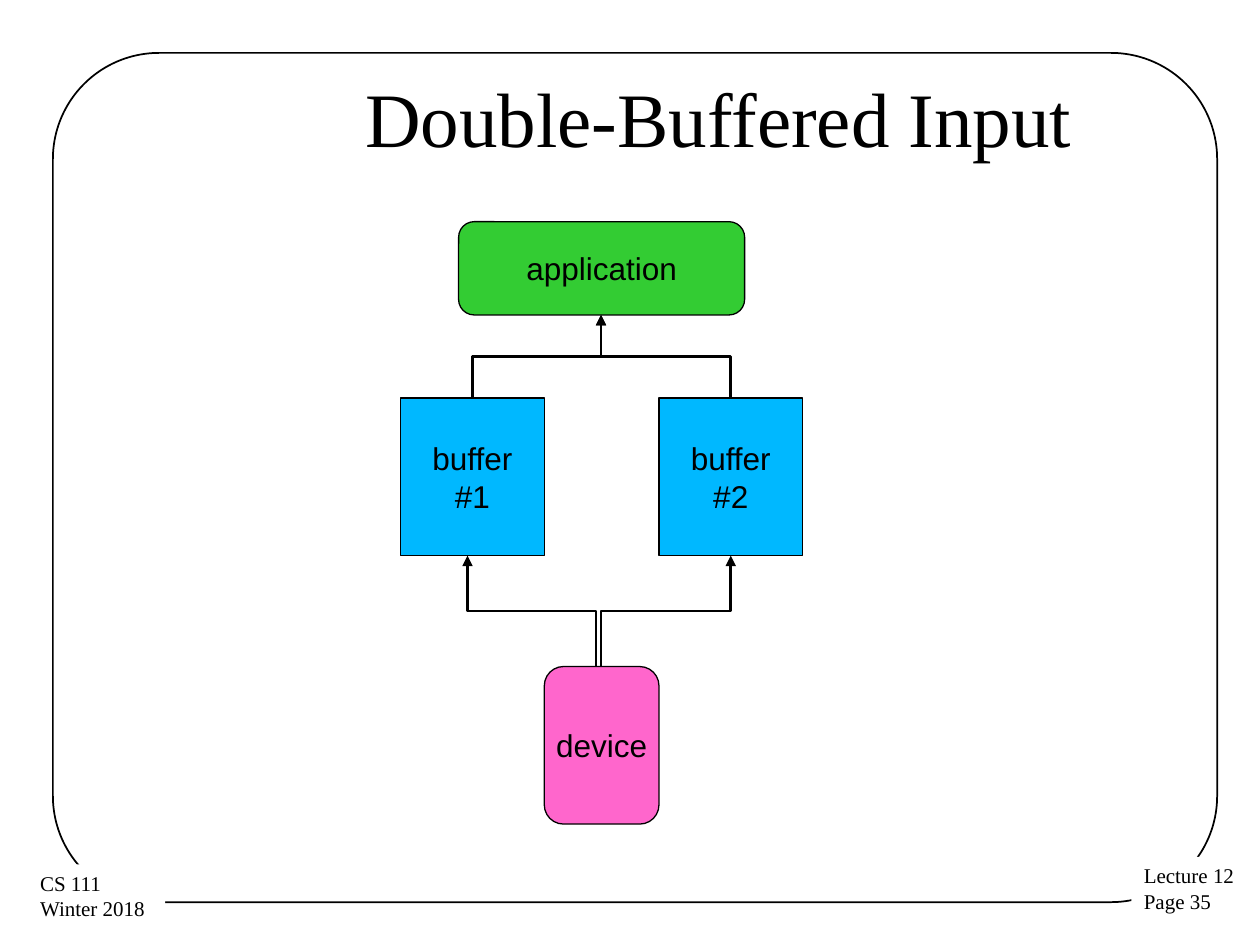
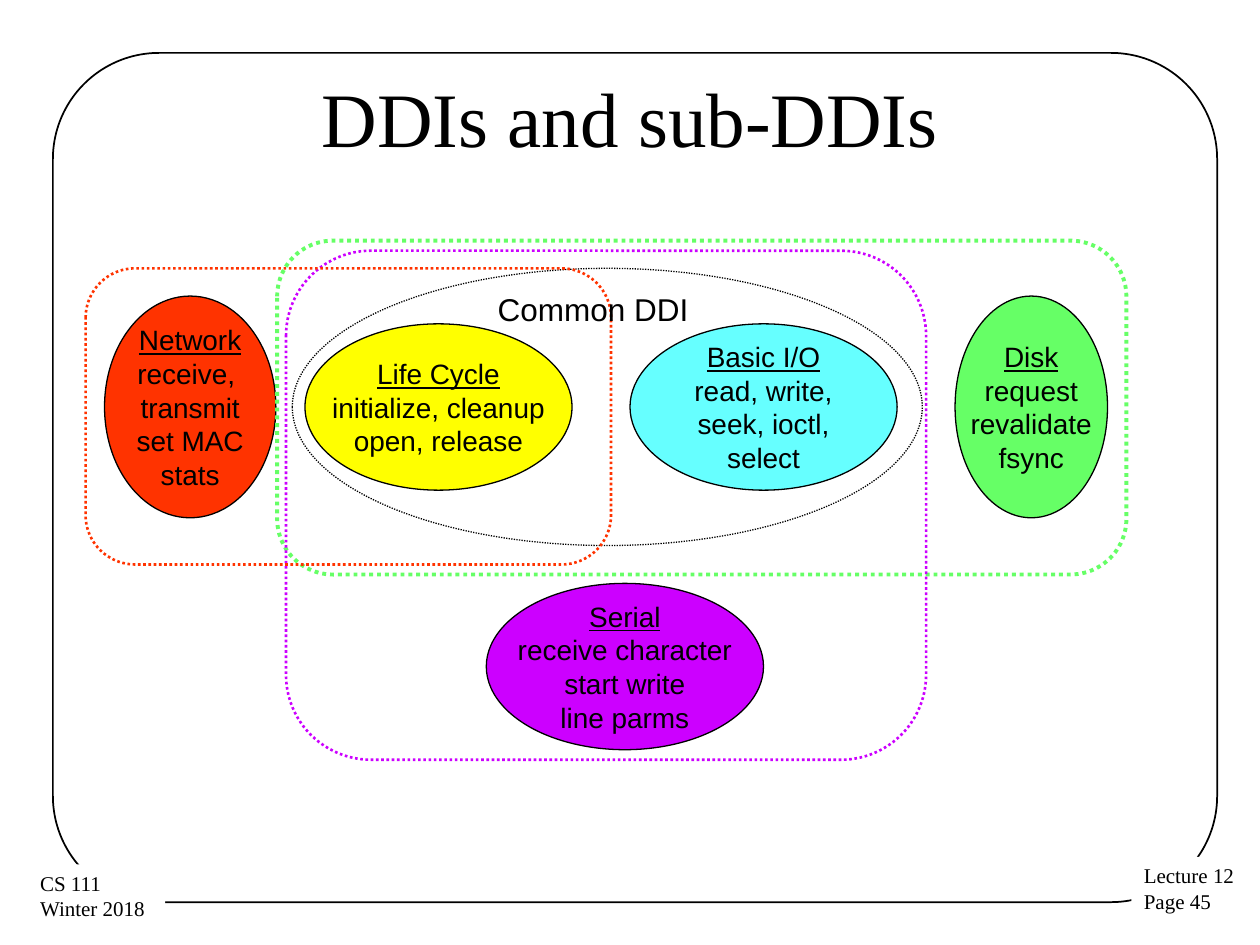
from lxml import etree
from pptx import Presentation
from pptx.dml.color import RGBColor
from pptx.enum.dml import MSO_LINE
from pptx.enum.shapes import MSO_CONNECTOR, MSO_SHAPE
from pptx.enum.text import MSO_ANCHOR, MSO_AUTO_SIZE, PP_ALIGN
from pptx.oxml.ns import qn
from pptx.util import Emu, Pt

PX = 9144  # 100 px to the inch
RECT, ROUND, OVAL = MSO_SHAPE.RECTANGLE, MSO_SHAPE.ROUNDED_RECTANGLE, MSO_SHAPE.OVAL
ELBOW, DOTTED = MSO_CONNECTOR.ELBOW, MSO_LINE.ROUND_DOT
LEFT, CENTER = PP_ALIGN.LEFT, PP_ALIGN.CENTER
TOP, MIDDLE, GROW = MSO_ANCHOR.TOP, MSO_ANCHOR.MIDDLE, MSO_AUTO_SIZE.SHAPE_TO_FIT_TEXT

SERIF, SANS = "Times New Roman", "Arial"
BLACK, WHITE = "000000", "FFFFFF"
GREEN, BLUE, PINK = "33CC33", "00B8FF", "FF66CC"
RED, YELLOW, CYAN, LIME, PURPLE = "FF3300", "FFFF00", "66FFFF", "66FF66", "CC00FF"

# Shared content: boxes are left, top, width, height
FRAME = (42, 42, 924, 674)
TITLE = (50, 30, 900, 125)
COURSE = ((22, 686, 109, 51), ["CS 111", "Winter 2018"])
LECTURE_BOX = (898, 680, 93, 51)

# Buffer slide: kind, box, fill, lines
BUFFER_NODES = [
    (ROUND, (364, 176, 227, 74), GREEN, ["application"]),
    (RECT, (318, 316, 114, 125), BLUE, ["buffer", "#1"]),
    (RECT, (523, 316, 114, 125), BLUE, ["buffer", "#2"]),
    (ROUND, (432, 529, 91, 125), PINK, ["device"]),
]
# Arrow tip (upper end) and tail (lower end)
BUFFER_ARROWS = [
    ((477, 250), (375, 316)),
    ((477, 250), (580, 316)),
    ((371, 441), (473, 529)),
    ((580, 441), (477, 529)),
]

# DDI slide: the first line of each oval is its heading
DDI_OVALS = [
    ((500, 257, 212, 132), CYAN, ["Basic I/O", "read, write,", "seek, ioctl,", "select"]),
    ((242, 257, 212, 132), YELLOW, ["Life Cycle", "initialize, cleanup", "open, release"]),
    ((758, 235, 121, 176), LIME, ["Disk", "request", "revalidate", "fsync"]),
    ((83, 235, 136, 176), RED, ["Network", "receive, ", "transmit", "set MAC", "stats"]),
    ((386, 463, 220, 132), PURPLE,
     ["Serial", "receive character", "start write", "line parms"]),
]
# Dotted outlines: kind, box, colour, points
DDI_GROUPS = [
    (OVAL, (232, 213, 500, 220), BLACK, 0.75),
    (ROUND, (220, 191, 674, 265), LIME, 2.25),
    (ROUND, (227, 199, 508, 404), PURPLE, 1.5),
    (ROUND, (68, 213, 417, 235), RED, 1.5),
]
COMMON_LABEL = ((386, 226, 205, 39), ["Common DDI"])


# Helpers
def rgb(code):
    return RGBColor.from_string(code)


def emu(*lengths):
    return [Emu(round(n * PX)) for n in lengths]


def write(sp, lines, size, font=SANS, align=CENTER, anchor=MIDDLE,
          margins=(9, 4), wrap=False, heading=False):
    tf = sp.text_frame
    tf.word_wrap, tf.vertical_anchor = wrap, anchor
    side, edge = emu(*margins)
    tf.margin_left = tf.margin_right = side
    tf.margin_top = tf.margin_bottom = edge
    tf.text = "\n".join(lines)
    for i, p in enumerate(tf.paragraphs):
        p.alignment = align
        p.font.name, p.font.size = font, Pt(size)
        p.font.color.rgb = rgb(BLACK)
        if heading and i == 0:
            p.font.underline = True


def shape(s, kind, box, fill=None, line=BLACK, points=0.75, dash=None, corner=0.167):
    sp = s.shapes.add_shape(kind, *emu(*box))
    sp.shadow.inherit = False
    if kind == ROUND:
        sp.adjustments[0] = corner
    if fill:
        sp.fill.solid()
        sp.fill.fore_color.rgb = rgb(fill)
    else:
        sp.fill.background()
    if line:
        sp.line.color.rgb = rgb(line)
        sp.line.width = Pt(points)
        if dash:
            sp.line.dash_style = dash
    else:
        sp.line.fill.background()
    return sp


def elbow_arrow(s, tip, tail):
    """Vertical elbow: a horizontal one turned a quarter about its centre."""
    (x1, y1), (x2, y2) = tip, tail
    mid_x, mid_y = (x1 + x2) / 2, (y1 + y2) / 2
    half_w, half_h = (y2 - y1) / 2, abs(x2 - x1) / 2
    turn = 90 if x2 < x1 else 270
    if turn == 270:
        half_w = -half_w
    c = s.shapes.add_connector(ELBOW, *emu(mid_x - half_w, mid_y - half_h,
                                           mid_x + half_w, mid_y + half_h))
    c.line.color.rgb = rgb(BLACK)
    c.line.width = Pt(1.5)
    sp_pr = c._element.spPr
    sp_pr.find(qn("a:xfrm")).set("rot", str(turn * 60000))
    etree.SubElement(sp_pr.find(qn("a:ln")), qn("a:headEnd"), type="triangle")
    etree.SubElement(sp_pr, qn("a:effectLst"))


def new_slide(prs, title, page, indent=0):
    s = prs.slides.add_slide(prs.slide_layouts[5])
    shape(s, ROUND, FRAME, points=1, corner=0.125)
    for box, lines in ((LECTURE_BOX, ["Lecture 12", f"Page {page}"]), COURSE):
        sp = shape(s, RECT, box, WHITE, line=None)
        write(sp, lines, 12, SERIF, LEFT, TOP, margins=(10, 5))
        sp.text_frame.auto_size = GROW
    sp = s.shapes.title
    sp.left, sp.top, sp.width, sp.height = emu(*TITLE)
    write(sp, [title], 44, SERIF, margins=(10, 5), wrap=True)
    if indent:
        p_pr = sp.text_frame.paragraphs[0]._p.get_or_add_pPr()
        p_pr.set("marL", str(indent * PX))
        p_pr.set("indent", "0")
    return s


def buffer_slide(prs):
    s = new_slide(prs, "Double-Buffered Input", 35, indent=141)
    for kind, box, fill, lines in BUFFER_NODES:
        write(shape(s, kind, box, fill), lines, 18)
    for tip, tail in BUFFER_ARROWS:
        elbow_arrow(s, tip, tail)


def ddi_slide(prs):
    s = new_slide(prs, "DDIs and sub-DDIs", 45)
    for box, fill, lines in DDI_OVALS:
        write(shape(s, OVAL, box, fill), lines, 16, heading=True)
    for kind, box, color, points in DDI_GROUPS:
        shape(s, kind, box, line=color, points=points, dash=DOTTED)
    box, lines = COMMON_LABEL
    write(s.shapes.add_textbox(*emu(*box)), lines, 18, align=LEFT, anchor=TOP, wrap=True)


def main():
    prs = Presentation()
    prs.slide_width, prs.slide_height = emu(1000, 750)
    buffer_slide(prs)
    ddi_slide(prs)
    prs.save("out.pptx")


if __name__ == "__main__":
    main()
